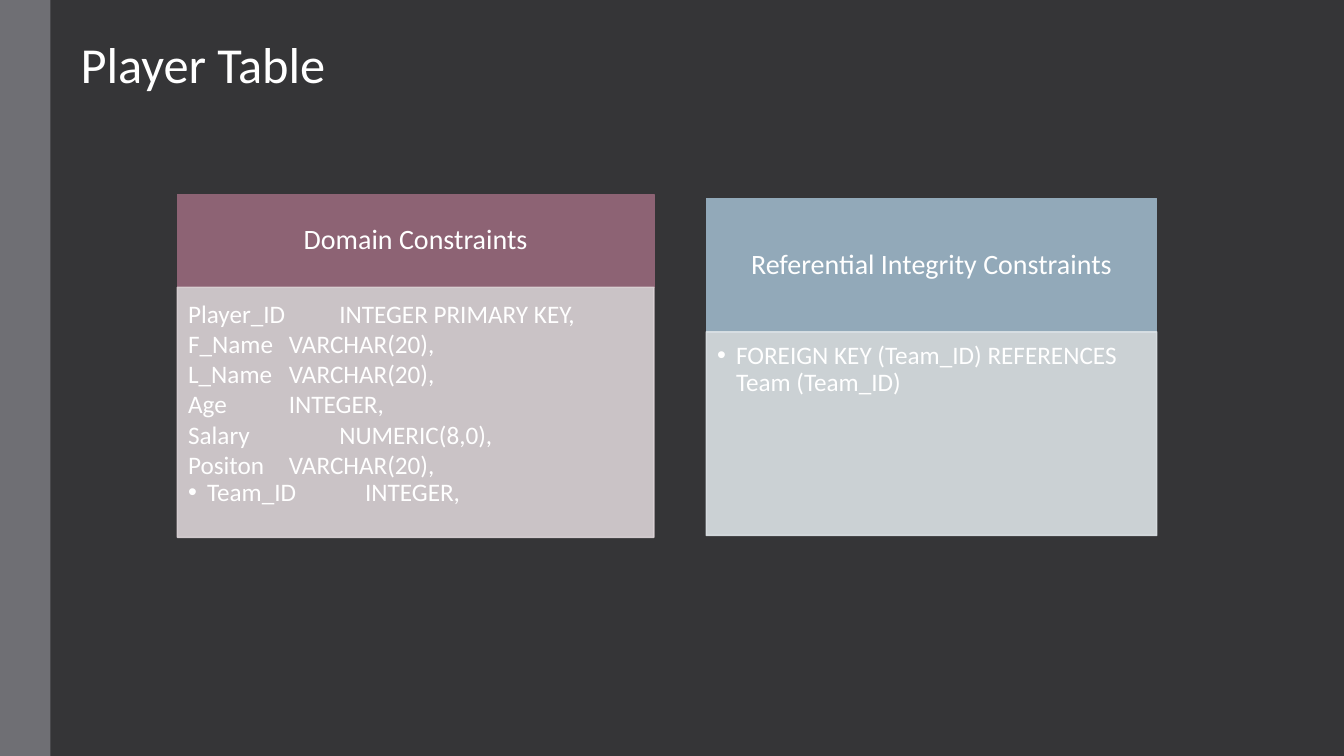
import pptx
import pptx.util
import pptx.dml.color
import pptx.enum.shapes
import pptx.enum.text
import pptx.oxml
import pptx.oxml.ns

Cm, Pt = pptx.util.Cm, pptx.util.Pt
ALIGN, ANCHOR = pptx.enum.text.PP_ALIGN, pptx.enum.text.MSO_ANCHOR
WHITE = "FFFFFF"
COLUMNS = [
    "Player_ID \tINTEGER PRIMARY KEY,",
    "F_Name \tVARCHAR(20),",
    "L_Name \tVARCHAR(20),",
    "Age \t\tINTEGER,",
    "Salary \t\tNUMERIC(8,0),",
    "Positon \tVARCHAR(20),",
]


def paint(color_format, color, alpha=100):
    """Set a solid colour from a hex string, with opacity in percent."""
    color_format.rgb = pptx.dml.color.RGBColor.from_string(color)
    if alpha < 100:
        solid = color_format._xFill if hasattr(color_format, "_xFill") else None
        rgb = solid.find(pptx.oxml.ns.qn("a:srgbClr"))
        rgb.append(pptx.oxml.parse_xml(
            f'<a:alpha {pptx.oxml.ns.nsdecls("a")} val="{alpha * 1000}"/>'))


def place(shape, box):
    """Move a shape to a left, top, width, height box in centimetres."""
    shape.left, shape.top, shape.width, shape.height = map(Cm, box)


def fill_panel(shape, color, alpha=100):
    """Give a shape a fill and a thin line of the same colour."""
    shape.fill.solid()
    paint(shape.fill.fore_color, color, alpha)
    shape.line.fill.solid()
    paint(shape.line.fill.fore_color, color, alpha)
    shape.line.width = Pt(1.1)


def frame_text(shape, insets, anchor):
    """Prepare a text frame with insets in centimetres."""
    frame = shape.text_frame
    frame.word_wrap = True
    frame.auto_size = pptx.enum.text.MSO_AUTO_SIZE.NONE
    frame.vertical_anchor = anchor
    (frame.margin_left, frame.margin_top,
     frame.margin_right, frame.margin_bottom) = map(Cm, insets)
    return frame


def write(paragraph, text, size=18, align=ALIGN.LEFT, spacing=1.0, bullet=False, tabs=()):
    """Write one formatted paragraph, with tab stops in centimetres."""
    run = paragraph.add_run()
    run.text = text
    run.font.name, run.font.size, run.font.bold = "Calibri", Pt(size), False
    paint(run.font.color, WHITE)
    paragraph.alignment, paragraph.line_spacing = align, spacing
    paragraph.space_before = paragraph.space_after = Pt(0)
    props = paragraph._p.get_or_add_pPr()
    indent = Cm(0.48) if bullet else 0
    props.set("marL", str(indent))
    props.set("indent", str(-indent))
    names = pptx.oxml.ns.nsdecls("a")
    mark = '<a:buChar {} char="&#8226;"/>' if bullet else "<a:buNone {}/>"
    props.append(pptx.oxml.parse_xml(mark.format(names)))
    if tabs:
        stops = "".join(f'<a:tab pos="{Cm(stop)}" algn="l"/>' for stop in tabs)
        props.append(pptx.oxml.parse_xml(f"<a:tabLst {names}>{stops}</a:tabLst>"))


def build_title(title, box):
    """Place the slide title."""
    place(title, box)
    frame = frame_text(title, (0.25, 0.13, 0.25, 0.13), ANCHOR.MIDDLE)
    write(frame.paragraphs[0], "Player Table", size=36)


def build_card(header, body, box, header_height, heading, rows, colors):
    """Place a heading above its list of constraints within a box."""
    left, top, width, height = box
    place(header, (left, top, width, header_height))
    place(body, (left, top + header_height, width, height - header_height))
    fill_panel(header, colors[0])
    fill_panel(body, colors[1], 90)
    heading_frame = frame_text(header, (0.4, 0.23, 0.4, 0.23), ANCHOR.MIDDLE)
    write(heading_frame.paragraphs[0], heading, size=20, align=ALIGN.CENTER, spacing=0.9)
    rows_frame = frame_text(body, (0.27, 0.27, 0.36, 0.4), ANCHOR.TOP)
    for number, (text, style) in enumerate(rows):
        paragraph = rows_frame.add_paragraph() if number else rows_frame.paragraphs[0]
        write(paragraph, text, **style)


def build_bar(slide, box):
    """Draw the band along the left edge."""
    bar = slide.shapes.add_shape(pptx.enum.shapes.MSO_SHAPE.RECTANGLE, *map(Cm, box))
    bar.shadow.inherit = False
    bar.fill.solid()
    paint(bar.fill.fore_color, "6F6F74")
    bar.line.fill.background()


def build_slide(deck):
    """Build the slide of player table constraints."""
    slide = deck.slides.add_slide(deck.slide_layouts.get_by_name("Comparison"))
    slide.background.fill.solid()
    paint(slide.background.fill.fore_color, "353537")
    title, domain_head, domain_body, reference_head, reference_body = slide.placeholders
    build_bar(slide, (0, 0, 1.27, 19.05))
    build_title(title, (1.78, 0.69, 16.64, 1.8))
    bulleted = {"bullet": True, "spacing": 0.9}
    domain_rows = [(column, {"tabs": (2.54, 5.08)}) for column in COLUMNS]
    domain_rows.append(("Team_ID \tINTEGER,", {**bulleted, "tabs": (4.46,)}))
    build_card(domain_head, domain_body, (4.47, 4.9, 12.01, 8.64), 2.34,
               "Domain Constraints", domain_rows, ("8D6374", "DBD3D6"))
    build_card(reference_head, reference_body, (17.8, 5, 11.35, 8.49), 3.36,
               "Referential Integrity Constraints",
               [("FOREIGN KEY (Team_ID) REFERENCES Team (Team_ID)", bulleted)],
               ("92A9B9", "DCE2E6"))


deck = pptx.Presentation()
deck.slide_width, deck.slide_height = Cm(33.87), Cm(19.05)
build_slide(deck)
deck.save("out.pptx")
